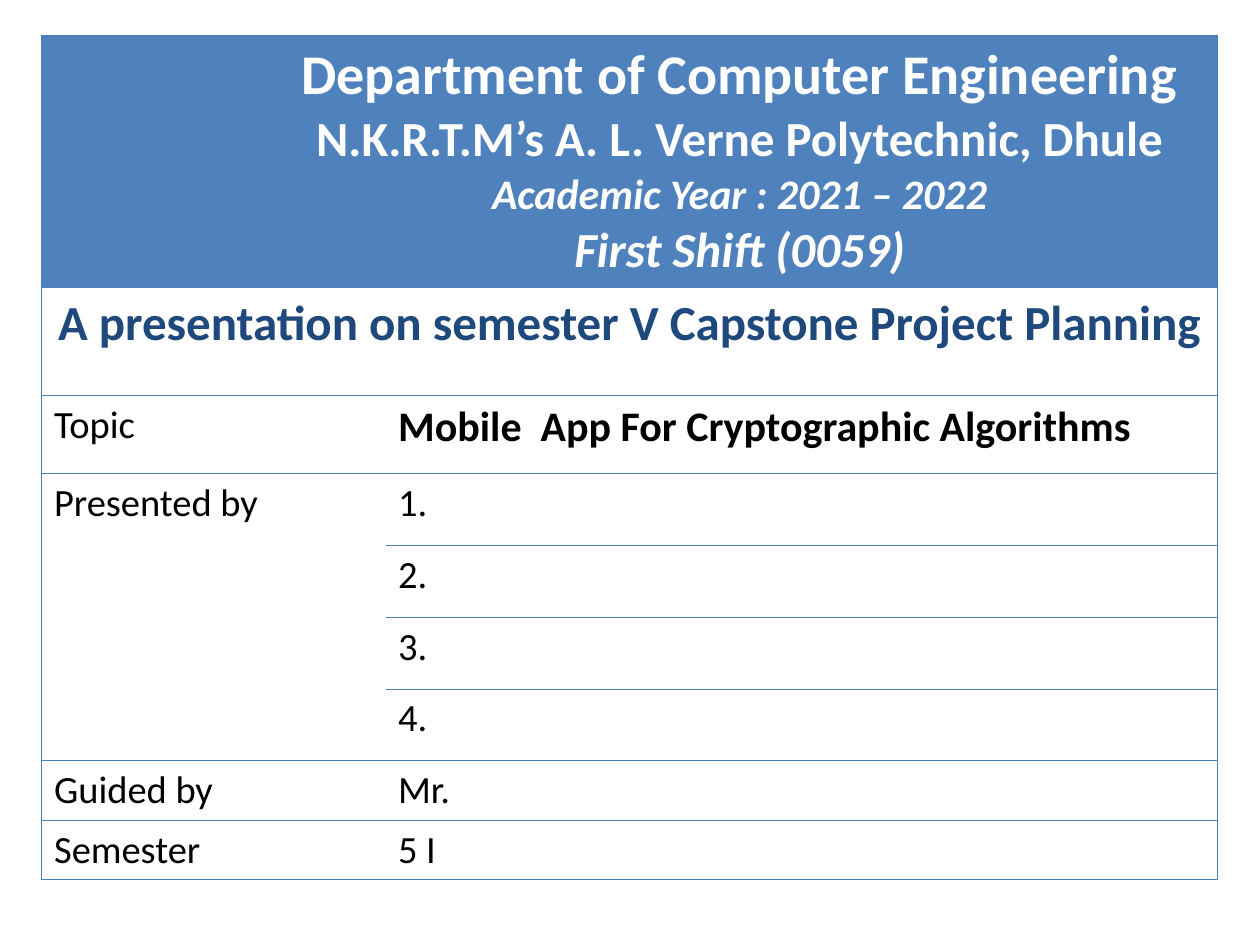
from lxml.etree import SubElement
from pptx import Presentation
from pptx.dml.color import RGBColor
from pptx.enum.text import PP_ALIGN
from pptx.oxml.ns import qn
from pptx.util import Inches, Pt

HEADER, BORDER, TITLE, BLACK, WHITE = "4F81BD", "4B7EBC", "1F497D", "000000", "FFFFFF"


def write(cell, text, size=22, color=BLACK, bold=False, italic=False, align=PP_ALIGN.LEFT):
    """Write text in a cell, below any text already there."""
    tf = cell.text_frame
    p = tf.add_paragraph() if tf.text else tf.paragraphs[0]
    p.alignment = align
    r = p.add_run()
    r.text = text
    r.font.name, r.font.size = "Calibri", Pt(size)
    r.font.bold, r.font.italic = bold, italic
    r.font.color.rgb = RGBColor.from_string(color)


def add_borders(cell, **sides):
    """Draw the sides that are true and hide the others."""
    tcPr = cell._tc.get_or_add_tcPr()
    for side, shown in sides.items():
        ln = SubElement(tcPr, qn("a:ln" + side), w=str(Pt(0.75)))
        if shown:
            fill = SubElement(ln, qn("a:solidFill"))
            SubElement(fill, qn("a:srgbClr"), val=BORDER)
        else:
            SubElement(ln, qn("a:noFill"))


prs = Presentation()
prs.slide_width, prs.slide_height = Inches(10), Inches(7.5)
s = prs.slides.add_slide(prs.slide_layouts[6])

# Table grid
widths = [1.75, 0.98, 6.6]
heights = [1.98, 0.86, 0.62] + [0.57] * 4 + [0.47] * 2
frame = s.shapes.add_table(len(heights), len(widths), Inches(0.33), Inches(0.28),
                           Inches(sum(widths)), Inches(sum(heights)))
table = frame.table
table.first_row = table.horz_banding = False
for column, width in zip(table.columns, widths):
    column.width = Inches(width)
for row, height in zip(table.rows, heights):
    row.height = Inches(height)

# Merged cells: first and last corner
merges = [((0, 1), (0, 2)), ((1, 0), (1, 2)), ((2, 0), (2, 1)),
          ((3, 0), (6, 1)), ((7, 0), (7, 1)), ((8, 0), (8, 1))]
for first, last in merges:
    table.cell(*first).merge(table.cell(*last))

# Borders and fills: outer frame and row lines, none inside the presenters label
for i in range(len(heights)):
    for j in range(len(widths)):
        cell = table.cell(i, j)
        label = j < 2
        right_edge = j + (cell.span_width if cell.is_merge_origin else 1) == len(widths)
        add_borders(cell, L=j == 0, R=right_edge,
                    T=not (label and 4 <= i <= 6), B=not (label and 3 <= i <= 5))
        cell.fill.solid()
        cell.fill.fore_color.rgb = RGBColor.from_string(HEADER if i == 0 else WHITE)

# Heading and title
headings = [("Department of Computer Engineering", 32, False),
            ("N.K.R.T.M’s A. L. Verne Polytechnic, Dhule", 28, False),
            ("Academic Year : 2021 – 2022", 24, True),
            ("First Shift (0059)", 28, True)]
for text, size, italic in headings:
    write(table.cell(0, 1), text, size=size, color=WHITE, bold=True, italic=italic,
          align=PP_ALIGN.CENTER)
write(table.cell(1, 0), "A presentation on semester V Capstone Project Planning",
      size=28, color=TITLE, bold=True, align=PP_ALIGN.CENTER)

# Labels and details
for i, text in {2: "Topic", 3: "Presented by", 7: "Guided by", 8: "Semester"}.items():
    write(table.cell(i, 0), text)
write(table.cell(2, 2), "Mobile  App For Cryptographic Algorithms", size=24, bold=True)
for i, text in enumerate(["1.", "2.", "3.", "4.", "Mr.", "5 I"], start=3):
    write(table.cell(i, 2), text)

prs.save("out.pptx")
